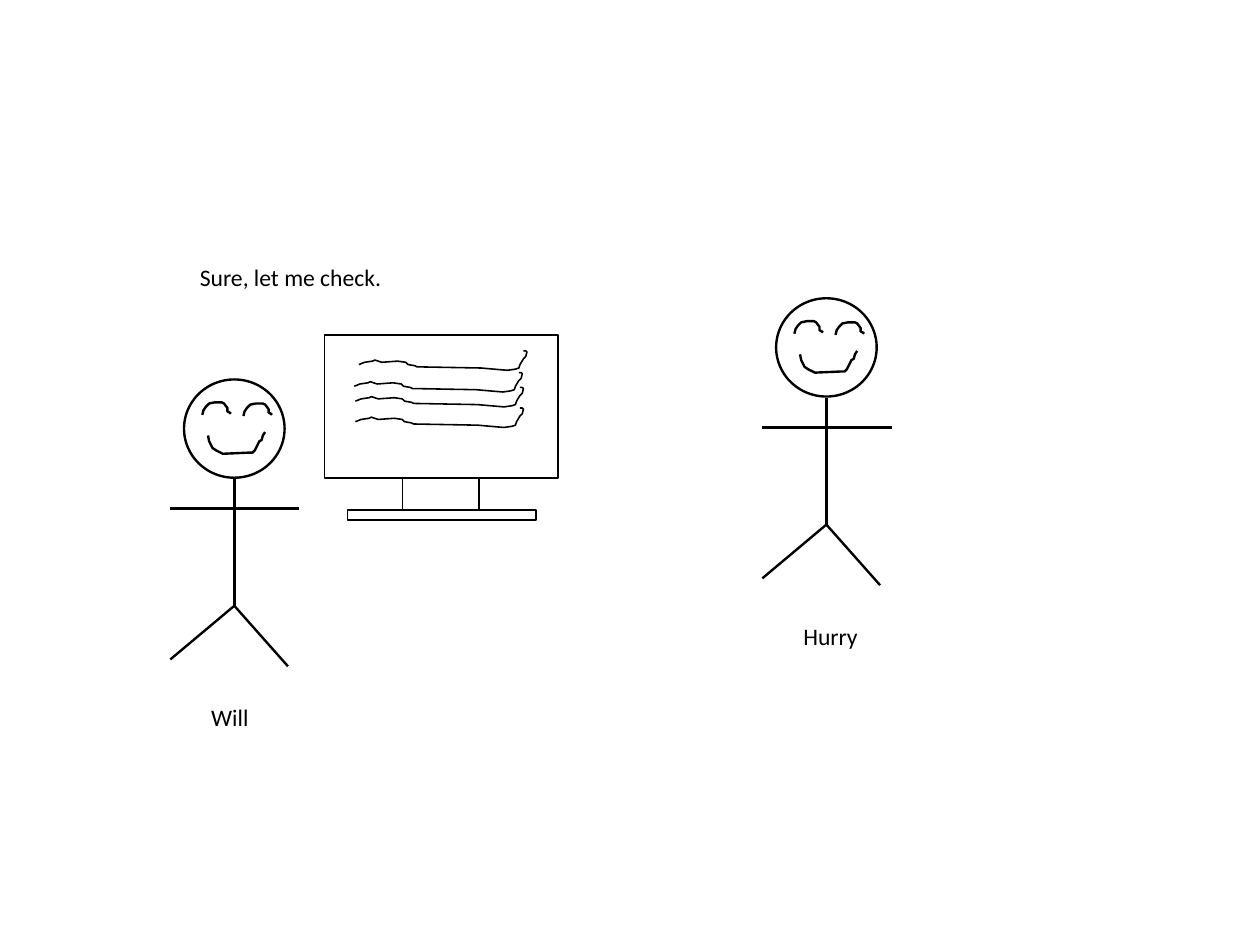
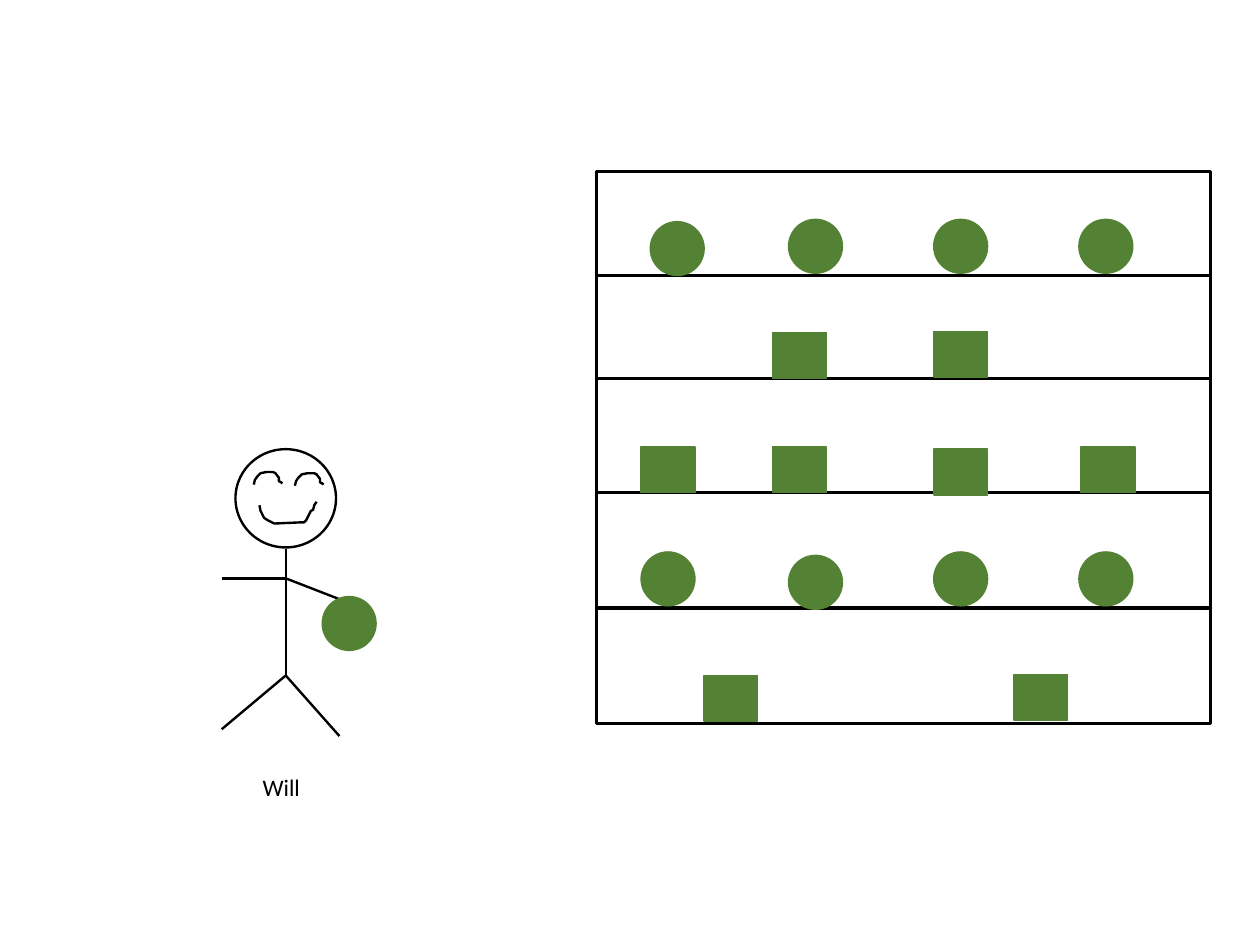
import pptx
import pptx.dml.color
import pptx.enum.shapes
import pptx.oxml.ns
import pptx.util
import lxml.etree

Inches = pptx.util.Inches
Shapes = pptx.enum.shapes.MSO_SHAPE

CM_PER_INCH = 2.54
SLIDE_WIDTH, SLIDE_HEIGHT = 28 / CM_PER_INCH, 21 / CM_PER_INCH

BLACK, WHITE, GREEN = "000000", "FFFFFF", "548235"
FONT, TEXT_SIZE = "Calibri", 14.9
THIN, MEDIUM, THICK = 1, 1.5, 2.25

EYE = [(0, 0.11), (0.01, 0.07), (0.03, 0.04), (0.06, 0.01), (0.11, 0), (0.17, 0),
       (0.19, 0.01), (0.22, 0.05), (0.22, 0.08), (0.24, 0.09), (0.25, 0.1)]
MOUTH = [(0, 0.03), (0.01, 0.08), (0.04, 0.14), (0.07, 0.16), (0.13, 0.19), (0.36, 0.18),
         (0.39, 0.18), (0.41, 0.16), (0.43, 0.12), (0.44, 0.1), (0.45, 0.08), (0.47, 0.07),
         (0.48, 0.03), (0.5, 0)]
SCRIBBLE = [(0, 0.12), (0.05, 0.1), (0.12, 0.09), (0.14, 0.08), (0.2, 0.1), (0.34, 0.09),
            (0.41, 0.1), (0.43, 0.12), (0.49, 0.13), (0.51, 0.14), (1.07, 0.15),
            (1.18, 0.16), (1.3, 0.17), (1.37, 0.16), (1.4, 0.15), (1.41, 0.12),
            (1.44, 0.07), (1.46, 0.05), (1.47, 0.01), (1.46, 0), (1.44, 0)]
SCRIBBLE_CORNERS = [(3.14, 3.07), (3.1, 3.26), (3.11, 3.39), (3.11, 3.57)]

LEFT_HAND, RIGHT_HAND, SHOULDER = (-0.12, 1.13), (1.01, 1.13), (0.44, 1.13)
NECK, HIP = (0.44, 0.87), (0.44, 1.98)
FEET = [(-0.12, 2.45), (0.91, 2.51)]
SPREAD_ARMS = [(LEFT_HAND, RIGHT_HAND)]
HOLDING_ARMS = [(LEFT_HAND, SHOULDER), (SHOULDER, (0.93, 1.32))]

RACK = (5.22, 1.5, 5.37, 4.83)
BOARDS = [2.41, 3.31, 4.31, 5.32]
BALL_SIZE, BOX_SIZE = (0.47, 0.47), (0.47, 0.4)
BALLS = [(5.69, 1.94), (6.9, 1.92), (8.17, 1.92), (9.44, 1.92),
         (5.61, 4.83), (6.9, 4.86), (8.17, 4.83), (9.44, 4.83)]
BOXES = [(6.76, 2.91), (8.17, 2.9),
         (5.61, 3.91), (6.76, 3.91), (8.17, 3.93), (9.46, 3.91),
         (6.16, 5.91), (8.87, 5.9)]
HELD_BALL = (2.82, 5.22)


def rgb(color):
    return pptx.dml.color.RGBColor.from_string(color)


def set_line(shape, color, width):
    shape.line.color.rgb = rgb(color)
    shape.line.width = pptx.util.Pt(width)


def add_figure(slide, kind, position, size, fill=WHITE, line=BLACK, width=THIN):
    shape = slide.shapes.add_shape(kind, *map(Inches, (*position, *size)))
    shape.shadow.inherit = False
    shape.fill.solid()
    shape.fill.fore_color.rgb = rgb(fill)
    set_line(shape, line, width)


def add_line(slide, start, end, width):
    connector = slide.shapes.add_connector(
        pptx.enum.shapes.MSO_CONNECTOR.STRAIGHT, *map(Inches, (*start, *end)))
    set_line(connector, BLACK, width)
    lxml.etree.SubElement(connector._element.spPr, pptx.oxml.ns.qn("a:effectLst"))


def add_stroke(slide, corner, points, width):
    placed = [(Inches(corner[0] + x), Inches(corner[1] + y)) for x, y in points]
    builder = slide.shapes.build_freeform(*placed[0])
    builder.add_line_segments(placed[1:], close=False)
    shape = builder.convert_to_shape()
    shape.shadow.inherit = False
    shape.fill.background()
    set_line(shape, BLACK, width)


def add_text(slide, position, width, text):
    box = slide.shapes.add_textbox(*map(Inches, (*position, width, 0.35)))
    box.text_frame.word_wrap = False
    paragraph = box.text_frame.paragraphs[0]
    paragraph.text = text
    paragraph.font.name = FONT
    paragraph.font.size = pptx.util.Pt(TEXT_SIZE)
    paragraph.font.color.rgb = rgb(BLACK)


def add_person(slide, left, top, name, name_width, arms=SPREAD_ARMS):
    def at(point):
        return left + point[0], top + point[1]

    add_figure(slide, Shapes.OVAL, (left, top), (0.88, 0.86), width=MEDIUM)
    for start, end in [(NECK, HIP), *arms, *((HIP, foot) for foot in FEET)]:
        add_line(slide, at(start), at(end), MEDIUM)
    for corner, points in [((0.16, 0.2), EYE), ((0.52, 0.21), EYE), ((0.21, 0.46), MOUTH)]:
        add_stroke(slide, at(corner), points, MEDIUM)
    add_text(slide, at((0.14, 2.78)), name_width, name)


def add_computer(slide):
    add_figure(slide, Shapes.RECTANGLE, (2.84, 2.93), (2.04, 1.25))
    for x in (3.52, 4.19):
        add_line(slide, (x, 4.19), (x, 4.46), THIN)
    add_figure(slide, Shapes.RECTANGLE, (3.04, 4.46), (1.65, 0.09))
    for corner in SCRIBBLE_CORNERS:
        add_stroke(slide, corner, SCRIBBLE, THIN)


def add_rack(slide):
    left, top, width, height = RACK
    add_figure(slide, Shapes.RECTANGLE, (left, top), (width, height), width=THICK)
    for y in BOARDS:
        add_line(slide, (left, y), (left + width, y), THICK)
    for kind, size, positions in [(Shapes.OVAL, BALL_SIZE, BALLS),
                                  (Shapes.RECTANGLE, BOX_SIZE, BOXES)]:
        for position in positions:
            add_figure(slide, kind, position, size, GREEN, GREEN)


def main():
    presentation = pptx.Presentation()
    presentation.slide_width = Inches(SLIDE_WIDTH)
    presentation.slide_height = Inches(SLIDE_HEIGHT)
    blank = presentation.slide_layouts[6]

    slide = presentation.slides.add_slide(blank)
    add_computer(slide)
    add_person(slide, 1.61, 3.32, "Will", 0.53)
    add_person(slide, 6.79, 2.61, "Hurry", 0.77)
    add_text(slide, (1.65, 2.25), 1.8, "Sure, let me check.")

    slide = presentation.slides.add_slide(blank)
    add_person(slide, 2.06, 3.93, "Will", 0.53, HOLDING_ARMS)
    add_rack(slide)
    add_figure(slide, Shapes.OVAL, HELD_BALL, BALL_SIZE, GREEN, GREEN)

    presentation.save("out.pptx")


if __name__ == "__main__":
    main()
